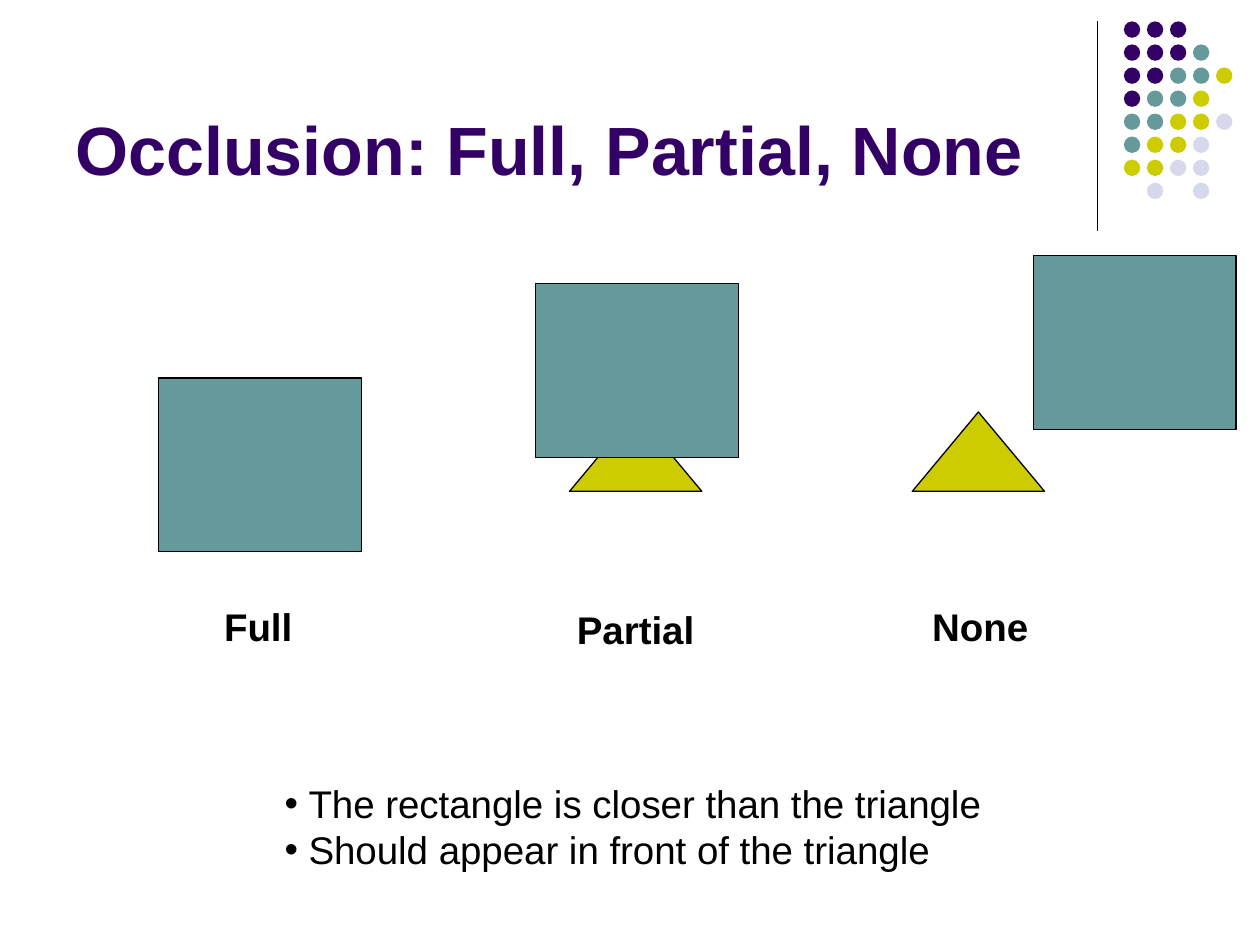
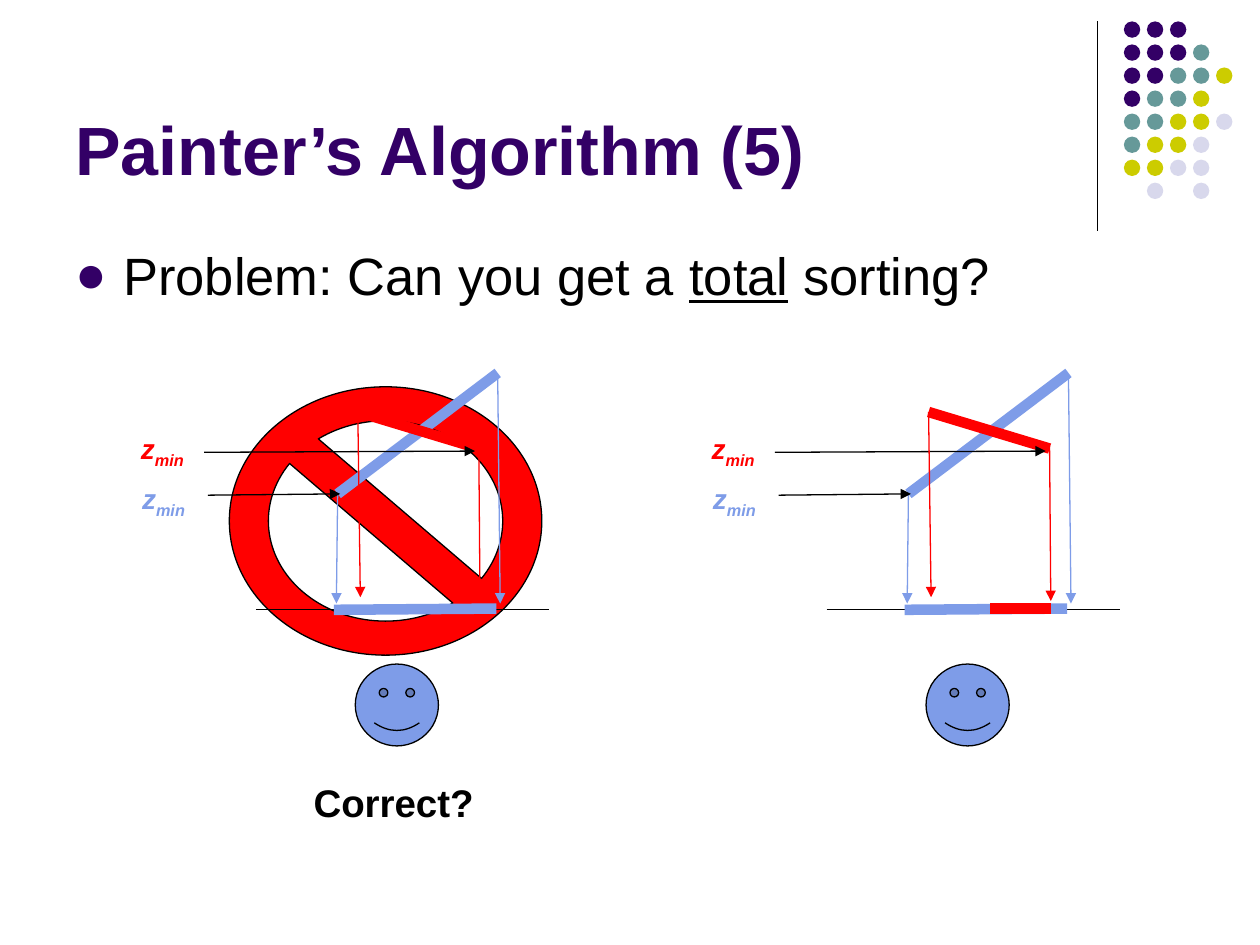
"""Build two slides on occlusion and the painter's algorithm."""
from dataclasses import dataclass
from math import cos, radians, sin, tan

from lxml import etree
from pptx import Presentation
from pptx.dml.color import RGBColor
from pptx.enum import shapes, text
from pptx.oxml import ns
from pptx.util import Inches, Pt


@dataclass(frozen=True)
class Theme:
    font: str = "Arial"
    purple: str = "330066"
    teal: str = "669999"
    olive: str = "CCCC00"
    lilac: str = "D8D8EC"
    blue: str = "7E9CE8"
    red: str = "FF0000"
    black: str = "000000"
    title: int = 39
    body: int = 30
    label: int = 22
    symbol: int = 16
    thin: float = 0.75
    thick: float = 6


T = Theme()
SHAPE = shapes.MSO_SHAPE

DOT_COLORS = {"P": T.purple, "T": T.teal, "Y": T.olive, "L": T.lilac}
DOT_ROWS = ["PPP", "PPPT", "PPTTY", "PTTY", "TTYYL", "TYYL", "YYLL", " L L"]
DOT_PITCH = 1.28 / 7

OCCLUSION_TITLE = "Occlusion: Full, Partial, None"
RECT_SIZE, TRIANGLE_SIZE = (1.61, 1.38), (1.05, 0.63)
OCCLUSION_CASES = [
    {"label": "Full", "box": (1.68, 4.74, 0.75, 0.47), "rect": (1.26, 3)},
    {"label": "Partial", "box": (4.48, 4.76, 1.14, 0.47), "rect": (4.25, 2.25),
     "triangle": (4.52, 3.27)},
    {"label": "None", "box": (7.3, 4.74, 0.97, 0.47), "rect": (8.2, 2.03),
     "triangle": (7.24, 3.27)},
]
OCCLUSION_NOTES = ["The rectangle is closer than the triangle",
                   "Should appear in front of the triangle"]

PAINTER_TITLE = "Painter’s Algorithm (5)"
PROBLEM = [("Problem: Can you get a ", {}), ("total", {"underline": True}),
           (" sorting?", {})]
PANEL_OFFSETS = [0, 4.53]
PANEL_LINES = [
    ((2.03, 4.84), (4.36, 4.84), T.black, T.thin, False),
    ((2.68, 3.91), (2.67, 4.79), T.blue, T.thin, True),
    ((2.68, 3.92), (3.95, 2.96), T.blue, T.thick, False),
    ((2.84, 3.27), (3.8, 3.56), T.red, T.thick, False),
    ((1.62, 3.59), (3.77, 3.58), T.black, T.thin, True),
    ((1.65, 3.93), (2.7, 3.92), T.black, T.thin, True),
    ((2.84, 3.27), (2.86, 4.74), T.red, T.thin, True),
    ((3.8, 3.54), (3.81, 4.77), T.red, T.thin, True),
    ((3.95, 2.99), (3.97, 4.79), T.blue, T.thin, True),
    ((2.65, 4.84), (3.94, 4.83), T.blue, T.thick, False),
]
VISIBLE_RED = ((7.86, 4.83), (8.34, 4.83), T.red, T.thick, False)
DEPTH_LABELS = [((1.02, 3.38), T.red), ((1.03, 3.77), T.blue)]
SIGN_BOX, SIGN_BAND = (1.82, 3.07, 2.48, 2.13), (0.31, 0.27)
SIGN_ARCS = [((0, 0), range(0, 361, 90)), (SIGN_BAND, range(35, -126, -80)),
             (SIGN_BAND, range(55, 216, 80))]


def rgb(value):
    return RGBColor.from_string(value)


def add_shape(s, kind, at, fill, outline=True):
    sp = s.shapes.add_shape(kind, *map(Inches, at))
    paint(sp, fill, outline)
    return sp


def paint(sp, fill, outline=True):
    sp.shadow.inherit = False
    sp.fill.solid()
    sp.fill.fore_color.rgb = rgb(fill)
    if outline:
        sp.line.color.rgb = rgb(T.black)
        sp.line.width = Pt(T.thin)
    else:
        sp.line.fill.background()


def add_line(s, start, end, color, width, arrow, dx=0):
    x1, y1, x2, y2 = start[0] + dx, start[1], end[0] + dx, end[1]
    sp = s.shapes.add_connector(shapes.MSO_CONNECTOR.STRAIGHT,
                                *map(Inches, (x1, y1, x2, y2)))
    sp.line.color.rgb = rgb(color)
    sp.line.width = Pt(width)
    if arrow:
        etree.SubElement(sp.line._get_or_add_ln(), ns.qn("a:tailEnd"), type="triangle")
    etree.SubElement(sp._element.spPr, ns.qn("a:effectLst"))


def set_bullet(p, char, color, indent):
    pPr = p._p.get_or_add_pPr()
    pPr.set("marL", str(Inches(indent)))
    pPr.set("indent", str(-Inches(indent)))
    clr = etree.SubElement(pPr, ns.qn("a:buClr"))
    etree.SubElement(clr, ns.qn("a:srgbClr"), val=color)
    etree.SubElement(pPr, ns.qn("a:buFont"), typeface=T.font)
    etree.SubElement(pPr, ns.qn("a:buChar"), char=char)


def add_text(s, at, paragraphs, size, color=T.black, wrap=False, bold=False,
             italic=False, anchor=text.MSO_ANCHOR.TOP, bullet=None):
    tf = s.shapes.add_textbox(*map(Inches, at)).text_frame
    tf.word_wrap = wrap
    tf.vertical_anchor = anchor
    for i, runs in enumerate(paragraphs):
        p = tf.paragraphs[0] if i == 0 else tf.add_paragraph()
        if bullet:
            set_bullet(p, *bullet)
        for content, style in runs:
            r = p.add_run()
            r.text = content
            r.font.name, r.font.size = T.font, Pt(size)
            r.font.bold, r.font.italic = bold, italic
            r.font.color.rgb = rgb(color)
            r.font.underline = style.get("underline")
            if "baseline" in style:
                r._r.get_or_add_rPr().set("baseline", str(style["baseline"]))


def add_label(s, at, label):
    add_text(s, at, [[(label, {})]], T.label, bold=True)


def start_slide(prs, title):
    s = prs.slides.add_slide(prs.slide_layouts[6])
    add_line(s, (8.71, 0.17), (8.71, 1.83), T.black, T.thin, False)
    for row, codes in enumerate(DOT_ROWS):
        for col, code in enumerate(codes):
            if code in DOT_COLORS:
                at = (8.92 + col * DOT_PITCH, 0.17 + row * DOT_PITCH, 0.13, 0.13)
                add_shape(s, SHAPE.OVAL, at, DOT_COLORS[code], outline=False)
    add_text(s, (0.5, 0.13, 8.25, 1.42), [[(title, {})]], T.title, T.purple,
             wrap=True, bold=True, anchor=text.MSO_ANCHOR.BOTTOM)
    return s


def arc_points(inset, angles):
    """Return the arc's start point and the three Bezier points of each step."""
    left, top, width, height = SIGN_BOX
    rx, ry = width / 2 - inset[0], height / 2 - inset[1]

    def place(angle, pull=0):
        c, n = cos(radians(angle)), sin(radians(angle))
        return (Inches(left + width / 2 + rx * (c - pull * n)),
                Inches(top + height / 2 + ry * (n + pull * c)))

    pull = 4 / 3 * tan(radians(angles.step) / 4)
    curves = [(place(a, pull), place(b, -pull), place(b))
              for a, b in zip(angles, angles[1:])]
    return place(angles[0]), curves


def add_prohibition_sign(s):
    arcs = [arc_points(*arc) for arc in SIGN_ARCS]
    builder = s.shapes.build_freeform(*arcs[0][0], scale=1.0)
    for i, (start, curves) in enumerate(arcs):
        if i:
            builder.move_to(*start)
        builder.add_line_segments([curve[-1] for curve in curves], close=True)
    sp = builder.convert_to_shape()
    steps = list(sp._element.iter(ns.qn("a:lnTo")))
    for step, curve in zip(steps, [c for _, curves in arcs for c in curves]):
        bezier = etree.Element(ns.qn("a:cubicBezTo"))
        for x, y in curve:
            etree.SubElement(bezier, ns.qn("a:pt"), x=str(x - sp.left), y=str(y - sp.top))
        step.getparent().replace(step, bezier)
    paint(sp, T.red)


def add_view_panel(s, dx):
    for line in PANEL_LINES:
        add_line(s, *line, dx=dx)
    face = add_shape(s, SHAPE.SMILEY_FACE, (2.82 + dx, 5.27, 0.66, 0.65), T.blue)
    face.adjustments[0] = 0.05
    for (x, y), color in DEPTH_LABELS:
        add_text(s, (x + dx, y, 0.58, 0.37),
                 [[("z", {}), ("min", {"baseline": -25000})]],
                 T.symbol, color, bold=True, italic=True)


def build_occlusion(prs):
    s = start_slide(prs, OCCLUSION_TITLE)
    for case in OCCLUSION_CASES:
        if "triangle" in case:
            add_shape(s, SHAPE.ISOSCELES_TRIANGLE, case["triangle"] + TRIANGLE_SIZE,
                      T.olive)
        add_label(s, case["box"], case["label"])
        add_shape(s, SHAPE.RECTANGLE, case["rect"] + RECT_SIZE, T.teal)
    add_text(s, (2.16, 6.14, 5.75, 0.83), [[(note, {})] for note in OCCLUSION_NOTES],
             T.label, bullet=("•", T.black, 0.19))


def build_painter(prs):
    s = start_slide(prs, PAINTER_TITLE)
    add_prohibition_sign(s)
    add_text(s, (0.5, 1.88, 9, 4.82), [PROBLEM], T.body, wrap=True,
             bullet=("●", T.purple, 0.38))
    for dx in PANEL_OFFSETS:
        add_view_panel(s, dx)
    add_line(s, *VISIBLE_RED)
    add_label(s, (2.39, 6.13, 1.48, 0.47), "Correct?")


def main():
    prs = Presentation()
    prs.slide_width, prs.slide_height = Inches(10), Inches(7.5)
    build_occlusion(prs)
    build_painter(prs)
    prs.save("out.pptx")


if __name__ == "__main__":
    main()
